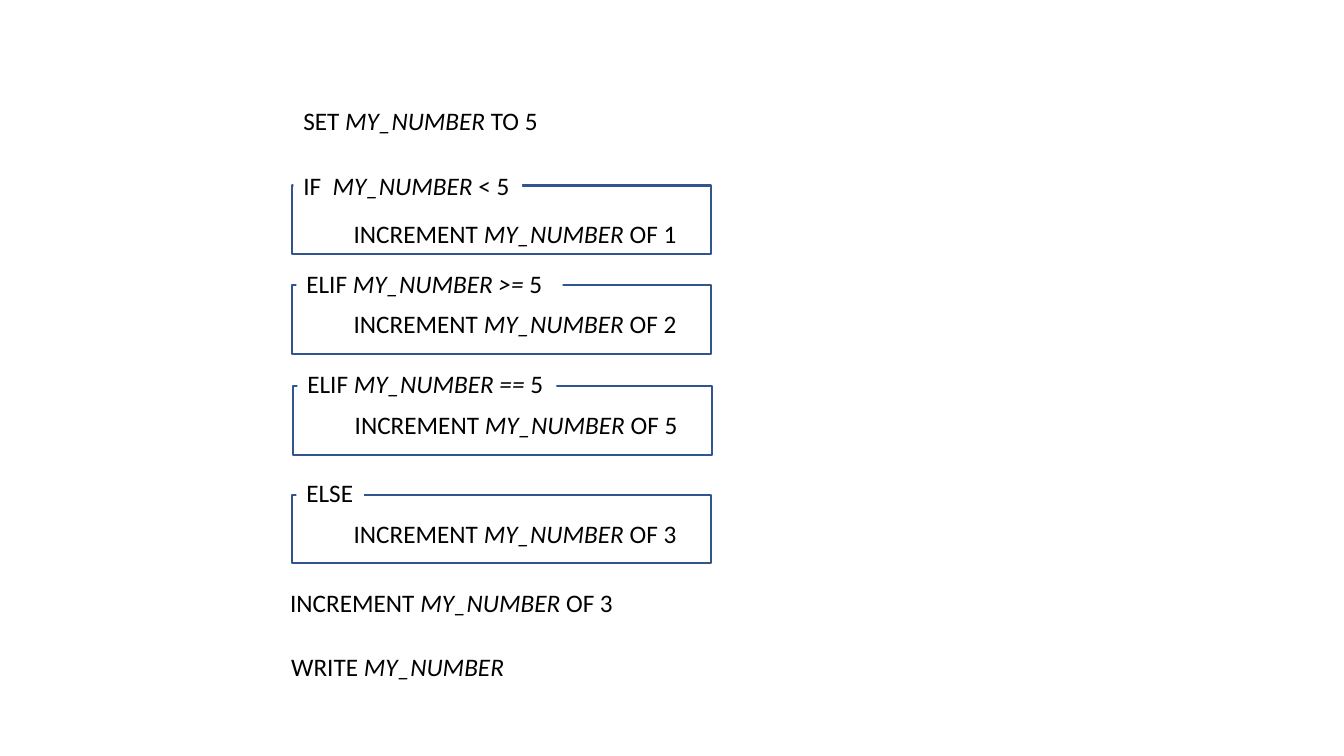
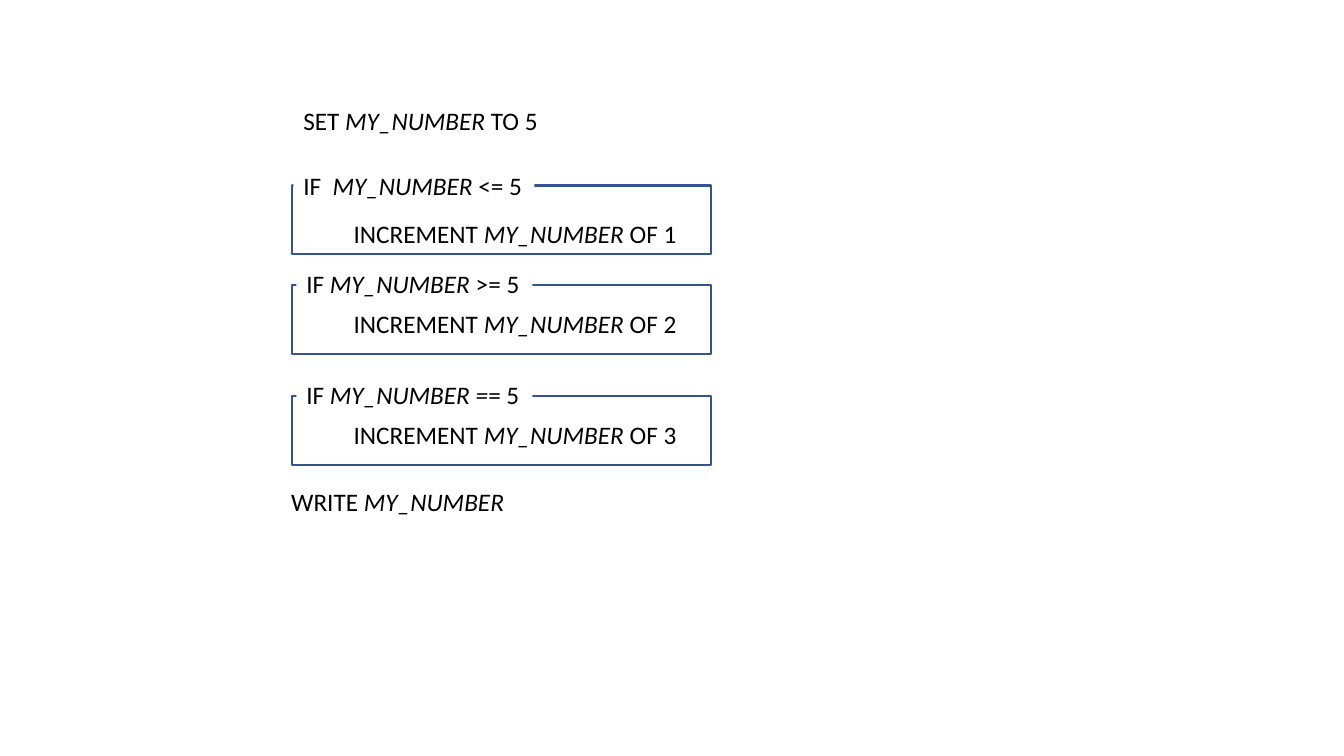
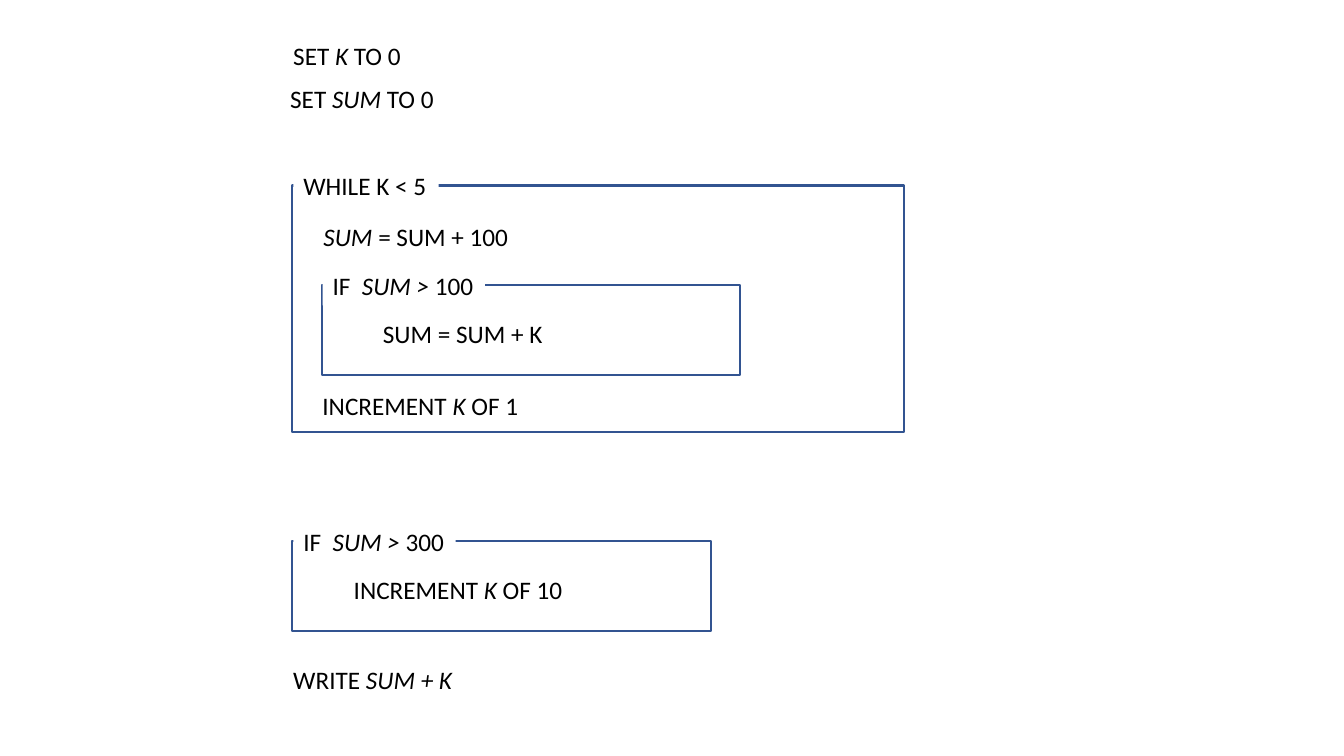
import pptx
import pptx.dml.color
import pptx.enum.shapes
import pptx.enum.text
import pptx.util

PX = 9144  # EMU per px, 100 px to the inch
COLORS = {"text": "000000", "frame": "325491", "label": "FFFFFF"}
FONT = "Calibri"
LINE_HEIGHT = 40
MARGIN = 290
FRAME_WIDTH = 415
BODY_INDENT = 51
INCREMENT_WIDTH = 343
# Offsets from the frame: label left, label top, body top
LOOSE = (1, -20, 28)
TIGHT = (4, -22, 18)


def px(value):
    return pptx.util.Emu(value * PX)


def rgb(name):
    return pptx.dml.color.RGBColor.from_string(COLORS[name])


def add_statement(page, left, top, width, text):
    """Add one line of pseudocode; parts between asterisks are italic."""
    box = page.shapes.add_textbox(px(left), px(top), px(width), px(LINE_HEIGHT))
    frame = box.text_frame
    frame.word_wrap = False
    frame.auto_size = pptx.enum.text.MSO_AUTO_SIZE.SHAPE_TO_FIT_TEXT
    para = frame.paragraphs[0]
    para.font.name = FONT
    para.font.size = pptx.util.Pt(18)
    para.font.color.rgb = rgb("text")
    for index, part in enumerate(text.split("*")):
        if part:
            span = para.add_run()
            span.text = part
            if index % 2:
                span.font.italic = True
    return box


def add_frame(page, left, top, width, height):
    shape = page.shapes.add_shape(
        pptx.enum.shapes.MSO_SHAPE.RECTANGLE, px(left), px(top), px(width), px(height))
    shape.shadow.inherit = False
    shape.fill.background()
    shape.line.color.rgb = rgb("frame")
    shape.line.width = pptx.util.Pt(1.5)


def add_label(page, left, top, width, text):
    """Add a statement that interrupts the frame line behind it."""
    label = add_statement(page, left, top, width, text)
    label.fill.solid()
    label.fill.fore_color.rgb = rgb("label")


def add_branch(page, top, label, label_width, body, body_width=INCREMENT_WIDTH,
               offsets=TIGHT, left=MARGIN, height=68):
    """Add a frame with its condition on the top line and one statement inside."""
    label_left, label_top, body_top = offsets
    add_frame(page, left, top, FRAME_WIDTH, height)
    add_label(page, left + label_left, top + label_top, label_width, label)
    add_statement(page, left + BODY_INDENT, top + body_top, body_width, body)


def add_page(deck):
    return deck.slides.add_slide(deck.slide_layouts[6])


def increment(amount):
    return f"INCREMENT *MY_NUMBER *OF {amount}"


def build_elif_chain(deck):
    page = add_page(deck)
    add_statement(page, 291, 100, 255, "SET *MY_NUMBER *TO 5")
    add_branch(page, 184, "IF  *MY_NUMBER *< 5", 227, increment(1), offsets=LOOSE)
    add_branch(page, 283, "ELIF *MY_NUMBER >=* 5", 264, increment(2))
    add_branch(page, 383, "ELIF *MY_NUMBER ==* 5", 257, increment(5), left=MARGIN + 1)
    add_branch(page, 491, "ELSE", 67, increment(3))
    add_statement(page, 278, 578, INCREMENT_WIDTH, increment(3))
    add_statement(page, 279, 641, 233, "WRITE *MY_NUMBER*")


def build_separate_ifs(deck):
    page = add_page(deck)
    add_statement(page, 291, 100, 255, "SET *MY_NUMBER *TO 5")
    add_branch(page, 184, "IF  *MY_NUMBER *<= 5", 239, increment(1), offsets=LOOSE)
    add_branch(page, 283, "IF *MY_NUMBER *>= 5", 234, increment(2))
    add_branch(page, 393, "IF *MY_NUMBER =*= 5", 234, increment(3))
    add_statement(page, 279, 478, 233, "WRITE *MY_NUMBER*")


def build_while_loop(deck):
    page = add_page(deck)
    add_statement(page, 281, 35, 128, "SET *K *TO 0")
    add_statement(page, 278, 78, 164, "SET *SUM *TO 0")
    add_frame(page, MARGIN, 184, 607, 245)
    add_label(page, MARGIN + 1, 164, 144, "WHILE K < 5")
    add_statement(page, 311, 215, 206, "*SUM *= SUM + 100")
    add_branch(page, 283, "IF  *SUM >* 100", 161, "SUM = SUM + K", 180,
               offsets=LOOSE, left=MARGIN + 29, height=89)
    add_statement(page, 310, 382, 216, "INCREMENT *K *OF 1")
    add_branch(page, 537, "IF  *SUM >* 300", 161, "INCREMENT *K *OF 10", 229,
               offsets=LOOSE, height=89)
    add_statement(page, 281, 654, 179, "WRITE *SUM + K*")


def main():
    deck = pptx.Presentation()
    deck.slide_width = px(1333)
    deck.slide_height = px(750)
    build_elif_chain(deck)
    build_separate_ifs(deck)
    build_while_loop(deck)
    deck.save("out.pptx")


if __name__ == "__main__":
    main()
